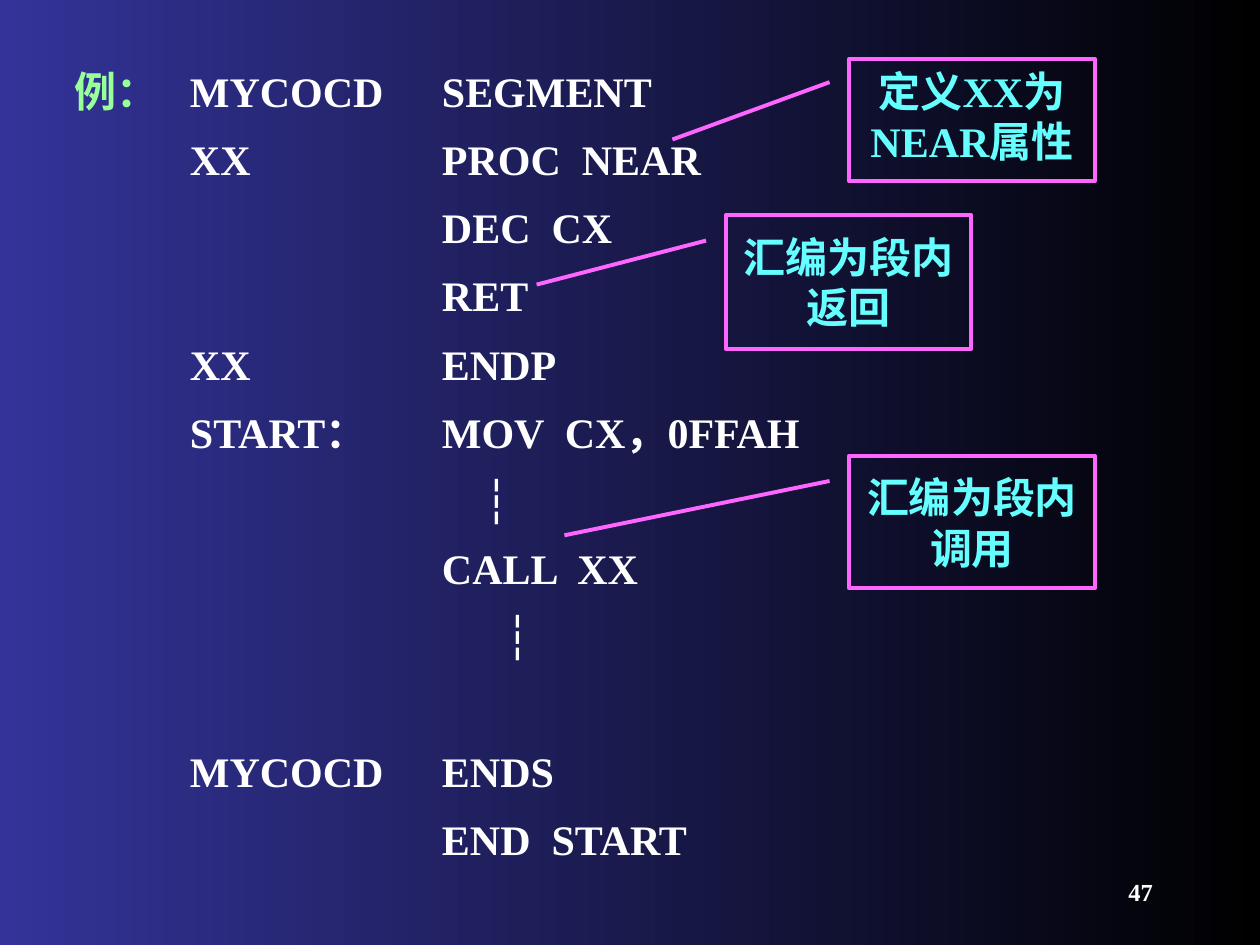
from pptx import Presentation
from pptx import util as u
from pptx.dml import color
from pptx.enum import shapes, text
from pptx.oxml import xmlchemy as x

COLORS = {"blue": "333399", "black": "000000", "white": "FFFFFF",
          "green": "99FF99", "pink": "FF66FF", "cyan": "66FFFF"}
SERIF = "Times New Roman"
LEFT, CENTER, RIGHT = text.PP_ALIGN.LEFT, text.PP_ALIGN.CENTER, text.PP_ALIGN.RIGHT
TOP, MIDDLE = text.MSO_ANCHOR.TOP, text.MSO_ANCHOR.MIDDLE
LINE_GAP, BLANK_LINE = 10.2, 37.8
LISTING = [
    ("MYCOCD\tSEGMENT", 0),
    ("XX\tPROC  NEAR", LINE_GAP),
    ("\tDEC  CX", LINE_GAP),
    ("\tRET", LINE_GAP),
    ("XX\tENDP", LINE_GAP),
    ("START：\tMOV  CX，0FFAH", LINE_GAP),
    ("\t    ┆", LINE_GAP),
    ("\tCALL  XX", LINE_GAP),
    ("\t      ┆", LINE_GAP),
    ("MYCOCD\tENDS", LINE_GAP + BLANK_LINE),
    ("\tEND  START", LINE_GAP),
]
CALLOUTS = [
    ((17.12, 1.19, 4.95, 2.46), "定义XX为NEAR属性", TOP, (0.66, -0.72)),
    ((14.63, 4.34, 4.95, 2.69), "汇编为段内返回", MIDDLE, (0.52, -0.77)),
    ((17.12, 9.19, 4.95, 2.67), "汇编为段内调用", MIDDLE, (0.6, -1.16)),
]


def rgb(name):
    """Return the named colour."""
    return color.RGBColor.from_string(COLORS[name])


def cm_box(box):
    """Convert a box in centimetres to lengths."""
    return [u.Cm(v) for v in box]


def add_run(p, words, hue, size=24, font=SERIF):
    """Add one bold run to a paragraph."""
    r = p.add_run()
    r.text = words
    r.font.name, r.font.size, r.font.bold = font, u.Pt(size), True
    r.font.color.rgb = rgb(hue)


def add_tab_stop(p, position):
    """Add a left tab stop to a paragraph."""
    tabs = x.OxmlElement("a:tabLst")
    tab = x.OxmlElement("a:tab")
    tab.set("pos", str(u.Cm(position)))
    tab.set("algn", "l")
    tabs.append(tab)
    p._p.get_or_add_pPr().append(tabs)


def add_label(s, box, words, hue, align, anchor=TOP, size=24, font=SERIF):
    """Place a one-line text box."""
    tf = s.shapes.add_textbox(*cm_box(box)).text_frame
    tf.word_wrap, tf.vertical_anchor = True, anchor
    p = tf.paragraphs[0]
    p.alignment = align
    add_run(p, words, hue, size, font)


def add_listing(s, box):
    """Place the assembly listing in two tabbed columns."""
    tf = s.shapes.add_textbox(*cm_box(box)).text_frame
    tf.word_wrap = True
    for i, (line, gap) in enumerate(LISTING):
        p = tf.add_paragraph() if i else tf.paragraphs[0]
        p.alignment, p.space_before = LEFT, u.Pt(gap)
        add_tab_stop(p, 5.08)
        add_run(p, line, "white")


def add_callout(s, box, words, anchor, target):
    """Place an outlined callout whose line ends at target, relative to its box."""
    sp = s.shapes.add_shape(shapes.MSO_SHAPE.LINE_CALLOUT_1, *cm_box(box))
    sp.shadow.inherit = False
    sp.fill.background()
    sp.line.color.rgb, sp.line.width = rgb("pink"), u.Pt(2.25)
    for i, value in enumerate((0.19, -0.08, *target)):
        sp.adjustments[i] = value
    tf = sp.text_frame
    tf.word_wrap, tf.vertical_anchor = True, anchor
    p = tf.paragraphs[0]
    p.alignment = CENTER
    add_run(p, words, "cyan")


def paint_background(s):
    """Fill the slide with a left-to-right gradient."""
    fill = s.background.fill
    fill.gradient()
    fill.gradient_angle = 0
    for stop, hue, position in zip(fill.gradient_stops, ("blue", "black"), (0, 1)):
        stop.color.rgb, stop.position = rgb(hue), position


def main():
    """Build the slide and save it."""
    prs = Presentation()
    prs.slide_width, prs.slide_height = u.Cm(25.4), u.Cm(19.05)
    s = prs.slides.add_slide(prs.slide_layouts[6])
    paint_background(s)
    add_label(s, (18.21, 17.35, 5.28, 1.27), "47", "white", RIGHT, MIDDLE, 14)
    add_label(s, (1.14, 1.19, 2.41, 1.45), "例：", "green", CENTER, font="Arial")
    add_listing(s, (3.58, 1.19, 13.54, 15.95))
    for callout in CALLOUTS:
        add_callout(s, *callout)
    prs.save("out.pptx")


if __name__ == "__main__":
    main()
